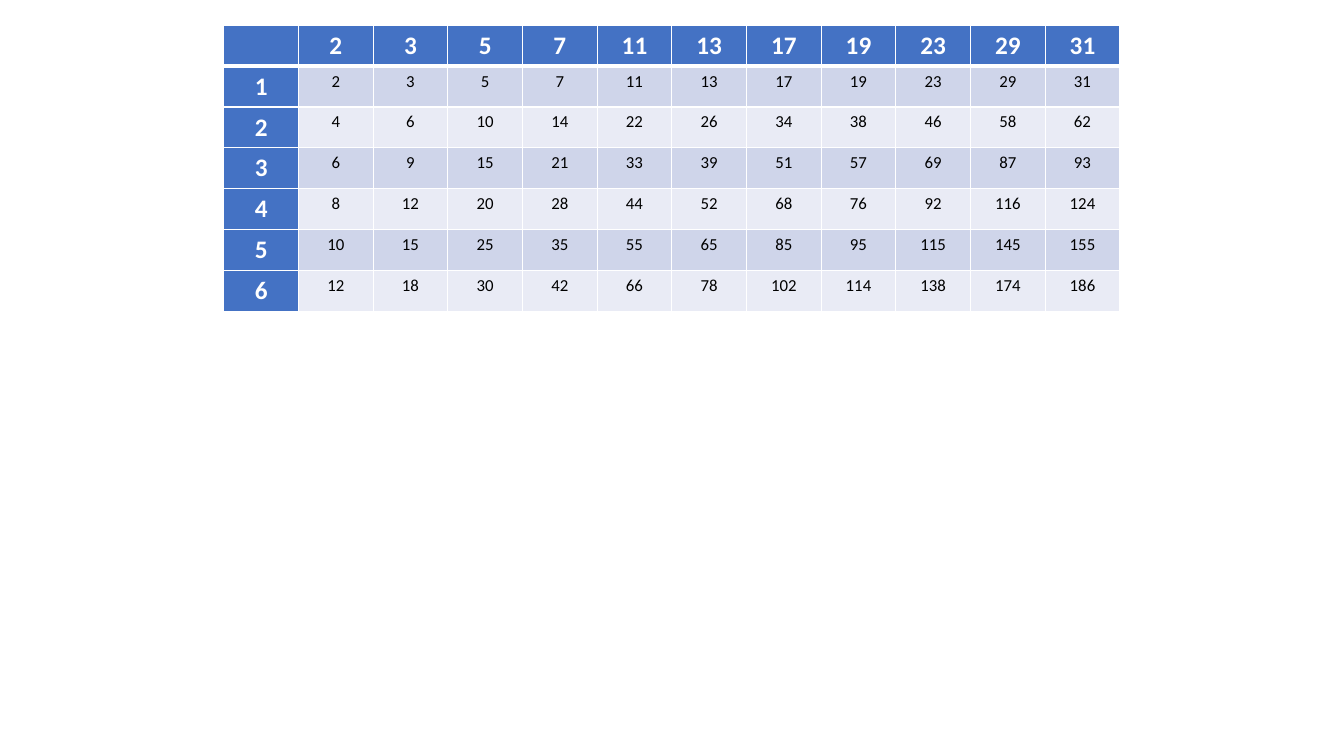
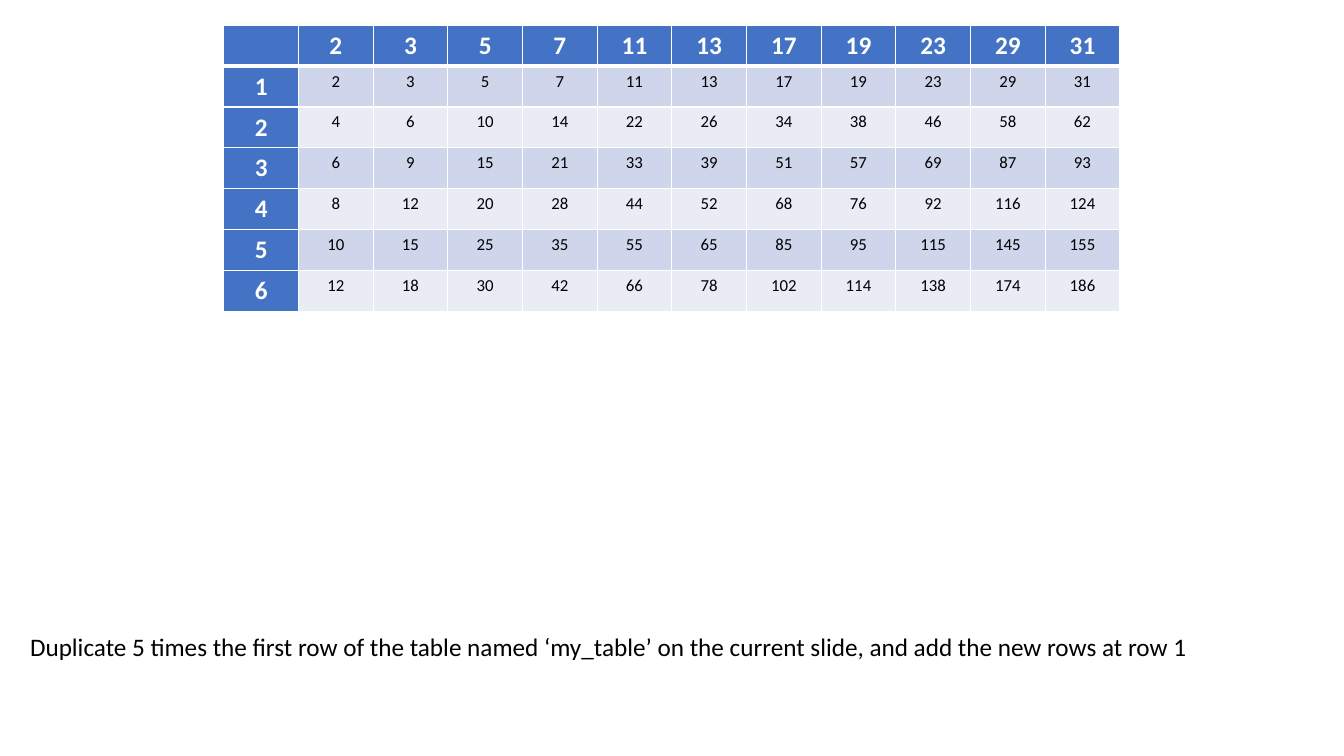
from lxml import etree
from pptx import Presentation
from pptx.dml.color import RGBColor
from pptx.enum.text import MSO_AUTO_SIZE, PP_ALIGN
from pptx.oxml.ns import qn
from pptx.util import Inches, Pt

CENTER = PP_ALIGN.CENTER
GROW_TO_TEXT = MSO_AUTO_SIZE.SHAPE_TO_FIT_TEXT

FONT = "Calibri"
WHITE = RGBColor(0xFF, 0xFF, 0xFF)
BLACK = RGBColor(0x00, 0x00, 0x00)
HEADER_BLUE = RGBColor(0x44, 0x72, 0xC4)
BANDS = (RGBColor(0xE9, 0xEB, 0xF5), RGBColor(0xCF, 0xD5, 0xEA))

PRIMES = (2, 3, 5, 7, 11, 13, 17, 19, 23, 29, 31)
FACTORS = range(1, 7)
INSTRUCTION = (
    "Duplicate 5 times the first row of the table named ‘my_table’ "
    "on the current slide, and add the new rows at row 1"
)


def style_font(paragraph, size, color, bold=False):
    paragraph.font.name = FONT
    paragraph.font.size = Pt(size)
    paragraph.font.color.rgb = color
    paragraph.font.bold = bold


def set_borders(cell, top, bottom):
    """Draw white cell borders; the side borders are 1 pt wide."""
    properties = cell._tc.get_or_add_tcPr()
    widths = {"a:lnL": 1, "a:lnR": 1, "a:lnT": top, "a:lnB": bottom}
    for position, (tag, width) in enumerate(widths.items()):
        line = etree.Element(qn(tag), w=str(Pt(width)))
        fill = etree.SubElement(line, qn("a:solidFill"))
        etree.SubElement(fill, qn("a:srgbClr"), val=str(WHITE))
        # Borders must come before the cell fill
        properties.insert(position, line)


def fill_cell(cell, value, row, column):
    is_header = row == 0 or column == 0
    cell.fill.solid()
    cell.fill.fore_color.rgb = HEADER_BLUE if is_header else BANDS[row % 2]
    set_borders(cell, top=3 if row == 1 else 1, bottom=3 if row == 0 else 1)

    cell.text = str(value)
    paragraph = cell.text_frame.paragraphs[0]
    paragraph.alignment = CENTER
    if is_header:
        style_font(paragraph, 18, WHITE, bold=True)
    else:
        style_font(paragraph, 12, BLACK)


def add_multiplication_table(slide):
    rows = [("", *PRIMES)]
    rows += [(factor, *(factor * prime for prime in PRIMES)) for factor in FACTORS]
    table = slide.shapes.add_table(
        len(rows), len(rows[0]),
        Inches(2.22), Inches(0.25), Inches(8.89), Inches(2.84),
    ).table
    for row, values in enumerate(rows):
        for column, value in enumerate(values):
            fill_cell(table.cell(row, column), value, row, column)


def add_instruction(slide, text):
    instruction = slide.shapes.add_textbox(
        Inches(0.2), Inches(6.2), Inches(11.83), Inches(0.72)
    )
    frame = instruction.text_frame
    frame.word_wrap = False
    frame.auto_size = GROW_TO_TEXT
    frame.text = text
    paragraph = frame.paragraphs[0]
    paragraph.line_spacing = 1.05
    style_font(paragraph, 18, BLACK)


def main():
    presentation = Presentation()
    presentation.slide_width = Inches(13.33)
    presentation.slide_height = Inches(7.5)
    blank = presentation.slide_layouts[6]

    # Slide 1: table only
    table_slide = presentation.slides.add_slide(blank)
    add_multiplication_table(table_slide)

    # Slide 2: table with the task below it
    task_slide = presentation.slides.add_slide(blank)
    add_instruction(task_slide, INSTRUCTION)
    add_multiplication_table(task_slide)

    presentation.save("out.pptx")


main()
